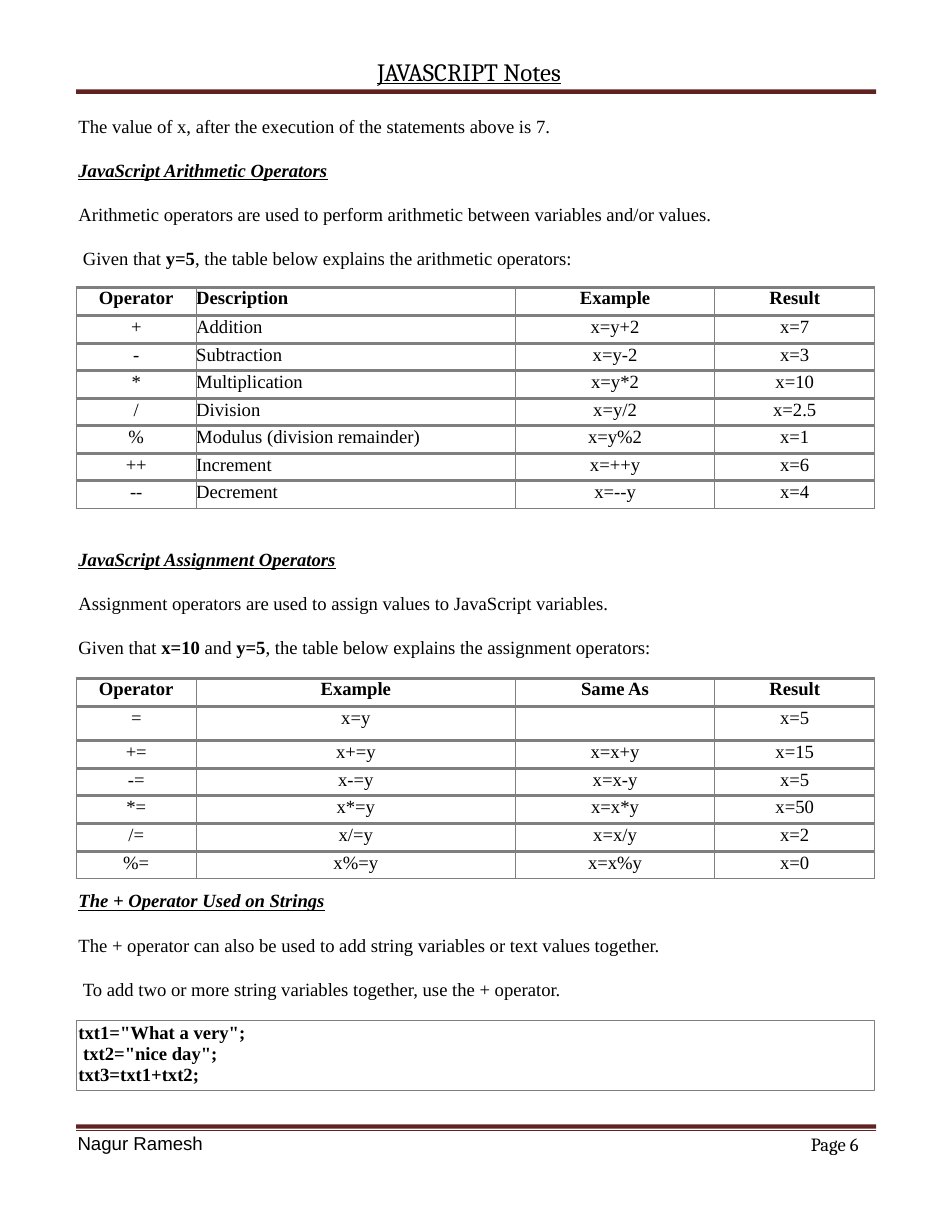
from typing import NamedTuple

from lxml.etree import SubElement
from pptx import Presentation
from pptx.dml.color import RGBColor
from pptx.enum.shapes import MSO_SHAPE as SHAPE
from pptx.enum.text import MSO_ANCHOR as ANCHOR, MSO_AUTO_SIZE as AUTO, PP_ALIGN as ALIGN
from pptx.oxml.ns import qn
from pptx.util import Cm, Pt

BLACK = RGBColor(0x00, 0x00, 0x00)
MAROON = RGBColor(0x61, 0x23, 0x22)
GREY = RGBColor(0x7F, 0x7F, 0x7F)

LEFT = 1.73
TEXT_LEFT = 1.78
COLUMN_WIDTHS = (2.72, 7.24, 4.52, 3.63)
BODY = {"name": "Times New Roman", "size": Pt(12)}
BOLD = {**BODY, "bold": True}
HEADING = {**BOLD, "italic": True, "underline": True}


class Span(NamedTuple):
    text: str
    fmt: dict = BODY


class Para(NamedTuple):
    spans: list[Span]
    indent: float = 0


class Passage(NamedTuple):
    top: float
    height: float
    paras: list[Para]


class Grid(NamedTuple):
    top: float
    height: float
    rows: list[tuple[str, ...]]
    left_columns: tuple[int, ...] = ()


class Bar(NamedTuple):
    top: float
    height: float


BARS = [Bar(2.03, 0.1), Bar(25.5, 0.1), Bar(25.63, 0.02)]

PASSAGES = [
    Passage(2.6, 3.43, [
        Para([Span("The value of x, after the execution of the statements above is 7.")]),
        Para([Span("JavaScript Arithmetic Operators", HEADING)]),
        Para([Span("Arithmetic operators are used to perform arithmetic between "
                   "variables and/or values.")]),
        Para([Span("Given that "), Span("y=5", BOLD),
              Span(", the table below explains the arithmetic operators:")], 0.1),
    ]),
    Passage(12.42, 2.45, [
        Para([Span("JavaScript Assignment Operators", HEADING)]),
        Para([Span("Assignment operators are used to assign values to JavaScript variables.")]),
        Para([Span("Given that "), Span("x=10 ", BOLD), Span("and "), Span("y=5", BOLD),
              Span(", the table below explains the assignment operators:")]),
    ]),
    Passage(20.17, 2.45, [
        Para([Span("The + Operator Used on Strings", HEADING)]),
        Para([Span("The + operator can also be used to add string variables or "
                   "text values together.")]),
        Para([Span("To add two or more string variables together, use the + operator.")], 0.1),
    ]),
]

GRIDS = [
    Grid(6.53, 5, [
        ("Operator", "Description", "Example", "Result"),
        ("+", "Addition", "x=y+2", "x=7"),
        ("-", "Subtraction", "x=y-2", "x=3"),
        ("*", "Multiplication", "x=y*2", "x=10"),
        ("/", "Division", "x=y/2", "x=2.5"),
        ("%", "Modulus (division remainder)", "x=y%2", "x=1"),
        ("++", "Increment", "x=++y", "x=6"),
        ("--", "Decrement", "x=--y", "x=4"),
    ], left_columns=(1,)),
    Grid(15.39, 4.39, [
        ("Operator", "Example", "Same As", "Result"),
        ("=", "x=y", "", "x=5"),
        ("+=", "x+=y", "x=x+y", "x=15"),
        ("-=", "x-=y", "x=x-y", "x=5"),
        ("*=", "x*=y", "x=x*y", "x=50"),
        ("/=", "x/=y", "x=x/y", "x=2"),
        ("%=", "x%=y", "x=x%y", "x=0"),
    ]),
]

CODE = ['txt1="What a very";', ' txt2="nice day";', "txt3=txt1+txt2;"]


def add_run(p, text: str, fmt: dict) -> None:
    r = p.add_run()
    r.text = text
    for name, value in fmt.items():
        setattr(r.font, name, value)
    r.font.color.rgb = BLACK


def clear_margins(obj) -> None:
    for side in ("left", "top", "right", "bottom"):
        setattr(obj, f"margin_{side}", 0)


def fill_frame(tf, paras: list[Para], gap: float = 0) -> None:
    """Write paragraphs into a text frame, gap points apart."""
    clear_margins(tf)
    tf.word_wrap = True
    tf.auto_size = AUTO.NONE
    tf.vertical_anchor = ANCHOR.TOP
    for i, para in enumerate(paras):
        p = tf.add_paragraph() if i else tf.paragraphs[0]
        p.alignment = ALIGN.LEFT
        if i:
            p.space_before = Pt(gap)
        if para.indent:
            p._p.get_or_add_pPr().set("marL", str(Cm(para.indent)))
        for span in para.spans:
            add_run(p, span.text, span.fmt)


def add_text(slide, left: float, top: float, width: float, height: float,
             paras: list[Para], gap: float = 0) -> None:
    sp = slide.shapes.add_textbox(Cm(left), Cm(top), Cm(width), Cm(height))
    fill_frame(sp.text_frame, paras, gap)


def add_bar(slide, bar: Bar) -> None:
    sp = slide.shapes.add_shape(SHAPE.RECTANGLE, Cm(LEFT), Cm(bar.top), Cm(18.14), Cm(bar.height))
    sp.shadow.inherit = False
    sp.fill.solid()
    sp.fill.fore_color.rgb = MAROON
    sp.line.fill.background()


def set_borders(cell, widths: dict[str, float]) -> None:
    tc_pr = cell._tc.get_or_add_tcPr()
    for i, (side, width) in enumerate(widths.items()):
        ln = SubElement(tc_pr, qn(f"a:ln{side}"), w=str(Pt(width)))
        fill = SubElement(ln, qn("a:solidFill"))
        SubElement(fill, qn("a:srgbClr"), val=str(GREY))
        tc_pr.insert(i, ln)


def add_grid(slide, grid: Grid) -> None:
    count = len(grid.rows)
    table = slide.shapes.add_table(count, len(COLUMN_WIDTHS), Cm(LEFT), Cm(grid.top),
                                   Cm(sum(COLUMN_WIDTHS)), Cm(grid.height)).table
    table.first_row = table.horz_banding = False
    for column, width in zip(table.columns, COLUMN_WIDTHS):
        column.width = Cm(width)
    for i, texts in enumerate(grid.rows):
        table.rows[i].height = Cm(grid.height / count)
        for j, text in enumerate(texts):
            cell = table.cell(i, j)
            clear_margins(cell)
            cell.fill.background()
            p = cell.text_frame.paragraphs[0]
            p.alignment = ALIGN.LEFT if j in grid.left_columns else ALIGN.CENTER
            if i:
                p.line_spacing = Pt(14.2)
            if text:
                add_run(p, text, BODY if i else BOLD)
            set_borders(cell, {"L": 0.5 if j else 1, "R": 0.5, "T": 2.25,
                               "B": 1 if i == count - 1 else 2.25})


def add_code(slide) -> None:
    sp = slide.shapes.add_shape(SHAPE.RECTANGLE, Cm(1.74), Cm(23.15), Cm(18.09), Cm(1.58))
    sp.shadow.inherit = False
    sp.fill.background()
    sp.line.color.rgb = GREY
    sp.line.width = Pt(0.75)
    tf = sp.text_frame
    fill_frame(tf, [Para([Span(line, BOLD)]) for line in CODE])
    tf.margin_left = tf.margin_top = Cm(0.04)
    for p in tf.paragraphs:
        p.line_spacing = Pt(13.5)


def add_title(slide) -> None:
    sp = slide.shapes.title
    sp.left, sp.top, sp.width, sp.height = Cm(LEFT), Cm(1.28), Cm(17.82), Cm(0.68)
    fmt = {"name": "Cambria", "size": Pt(16), "underline": True}
    fill_frame(sp.text_frame, [Para([Span("JAVASCRIPT Notes", fmt)])])
    sp.text_frame.paragraphs[0].alignment = ALIGN.CENTER


def main() -> None:
    prs = Presentation()
    prs.slide_width, prs.slide_height = Cm(21.59), Cm(27.94)
    slide = prs.slides.add_slide(prs.slide_layouts[5])
    add_title(slide)
    for bar in BARS:
        add_bar(slide, bar)
    for passage in PASSAGES:
        add_text(slide, TEXT_LEFT, passage.top, 18, passage.height, passage.paras, gap=14)
    for grid in GRIDS:
        add_grid(slide, grid)
    add_code(slide)
    add_text(slide, 1.76, 25.66, 2.9, 0.53,
             [Para([Span("Nagur Ramesh", {"name": "Arial", "size": Pt(12)})])])
    add_text(slide, 18.39, 25.69, 1.5, 0.53,
             [Para([Span("Page 6", {"name": "Cambria", "size": Pt(12)})])])
    prs.save("out.pptx")


if __name__ == "__main__":
    main()
